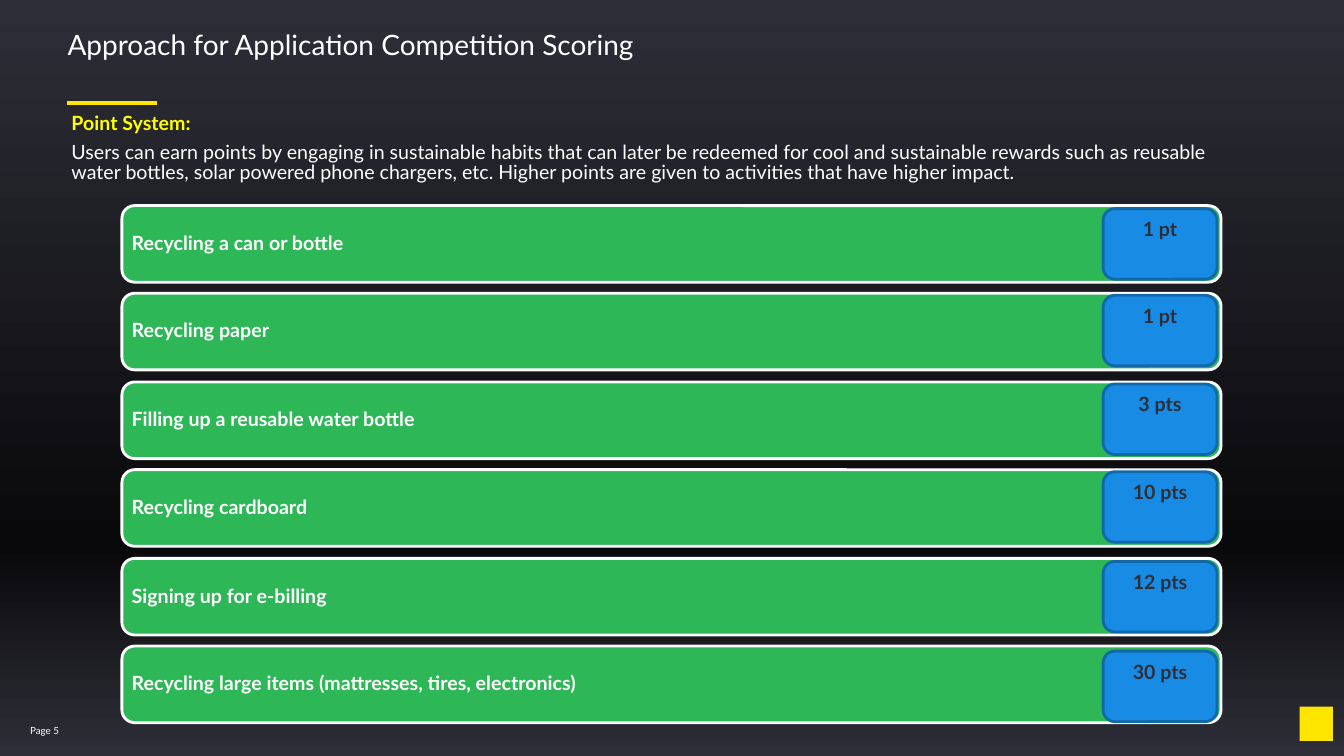
from copy import deepcopy

from pptx import Presentation, util as u
from pptx.dml.color import RGBColor
from pptx.enum import shapes, text
from pptx.oxml.ns import qn
from lxml import etree

PX = 9144  # EMU per px, 100 px to the inch
COLORS = {
    "slate": "2E2E38", "night": "09090B", "white": "FFFFFF", "accent": "FFE600",
    "heading": "FFFF00", "bar": "2DB757", "badge": "188CE5", "badge_edge": "1268A9",
}
# activity, points, top of the points badge
ACTIVITIES = [
    ("Recycling a can or bottle", "1 pt", 207),
    ("Recycling paper", "1 pt", 293),
    ("Filling up a reusable water bottle", "3 pts", 381),
    ("Recycling cardboard", "10 pts", 468),
    ("Signing up for e-billing", "12 pts", 557),
    ("Recycling large items (mattresses, tires, electronics)", "30 pts", 646),
]
FIRST_BAR_TOP, BAR_PITCH = 204, 87.4


def rgb(name):
    return RGBColor.from_string(COLORS[name])


class SlideBuilder:
    font = "Lato"

    def __init__(self, slide):
        self.slide = slide

    def background(self, stops):
        """Fill the slide with a top-to-bottom gradient of (percent, colour) stops."""
        fill = self.slide.background.fill
        fill.gradient()
        fill.gradient_angle = 270
        stop_list = self.slide._element.find(".//" + qn("a:gsLst"))
        stop_list.append(deepcopy(stop_list[0]))
        for stop, stop_xml, (percent, color) in zip(fill.gradient_stops, stop_list, stops):
            stop.color.rgb = rgb(color)
            stop_xml.set("pos", str(percent * 1000))

    def set_text(self, shape, lines, size, margins, anchor=text.MSO_ANCHOR.TOP,
                 align=text.PP_ALIGN.LEFT, spacing=1.0, after=0):
        """Put (wording, colour, bold) lines into a shape, one paragraph each."""
        frame = shape.text_frame
        frame.word_wrap = True
        frame.vertical_anchor = anchor
        (frame.margin_left, frame.margin_top,
         frame.margin_right, frame.margin_bottom) = [m * PX for m in margins]
        frame.text = "\n".join(wording for wording, _, _ in lines)
        for para, (_, color, bold) in zip(frame.paragraphs, lines):
            para.alignment = align
            para.line_spacing = spacing
            para.space_after = u.Pt(after)
            for span in para.runs:
                span.font.name = self.font
                span.font.size = u.Pt(size)
                span.font.bold = bold
                span.font.color.rgb = rgb(color)

    def text_box(self, x, y, width, height, lines, size, margins=(0, 0, 0, 0), **style):
        box = self.slide.shapes.add_textbox(x * PX, y * PX, width * PX, height * PX)
        self.set_text(box, lines, size, margins, **style)

    def panel(self, x, y, width, height, fill, edge=None,
              kind=shapes.MSO_SHAPE.ROUNDED_RECTANGLE):
        panel = self.slide.shapes.add_shape(kind, x * PX, y * PX, width * PX, height * PX)
        panel.shadow.inherit = False
        panel.fill.solid()
        panel.fill.fore_color.rgb = rgb(fill)
        if edge:
            panel.line.color.rgb = rgb(edge)
            panel.line.width = u.Pt(2)
        else:
            panel.line.fill.background()
        return panel

    def rule(self, x1, x2, y, color, width):
        line = self.slide.shapes.add_connector(
            shapes.MSO_CONNECTOR.STRAIGHT, x1 * PX, y * PX, x2 * PX, y * PX)
        line.line.color.rgb = rgb(color)
        line.line.width = u.Pt(width)
        etree.SubElement(line._element.spPr, qn("a:effectLst"))


def main():
    deck = Presentation()
    deck.slide_width, deck.slide_height = 1334 * PX, 750 * PX
    page = SlideBuilder(deck.slides.add_slide(deck.slide_layouts[6]))

    page.background([(0, "slate"), (72, "night"), (100, "slate")])
    page.panel(1290, 701, 33, 34, "accent", kind=shapes.MSO_SHAPE.RECTANGLE)
    page.rule(67, 156, 102, "accent", 3.25)
    page.text_box(67, 32, 1201, 65,
                  [("Approach for Application Competition Scoring", "white", False)],
                  20, spacing=0.85)
    page.text_box(30, 715, 73, 20, [("Page 5", "white", False)], 7,
                  anchor=text.MSO_ANCHOR.MIDDLE)

    for row, (activity, points, badge_top) in enumerate(ACTIVITIES):
        bar = page.panel(121, round(FIRST_BAR_TOP + row * BAR_PITCH), 1091, 76, "bar", "white")
        page.set_text(bar, [(activity, "white", True)], 14, (6, 6, 6, 6),
                      anchor=text.MSO_ANCHOR.MIDDLE, spacing=0.9)
        badge = page.panel(1095, badge_top, 113, 70, "badge", "badge_edge")
        page.set_text(badge, [(points, "slate", True)], 14, (10, 5, 10, 5),
                      align=text.PP_ALIGN.CENTER)

    page.text_box(71, 110, 1130, 73, [
        ("Point System:", "heading", True),
        ("Users can earn points by engaging in sustainable habits that can later be "
         "redeemed for cool and sustainable rewards such as reusable water bottles, "
         "solar powered phone chargers, etc. Higher points are given to activities "
         "that have higher impact.", "white", False),
    ], 14, margins=(0, 4, 0, 0), spacing=0.85, after=6)

    deck.save("out.pptx")


if __name__ == "__main__":
    main()
